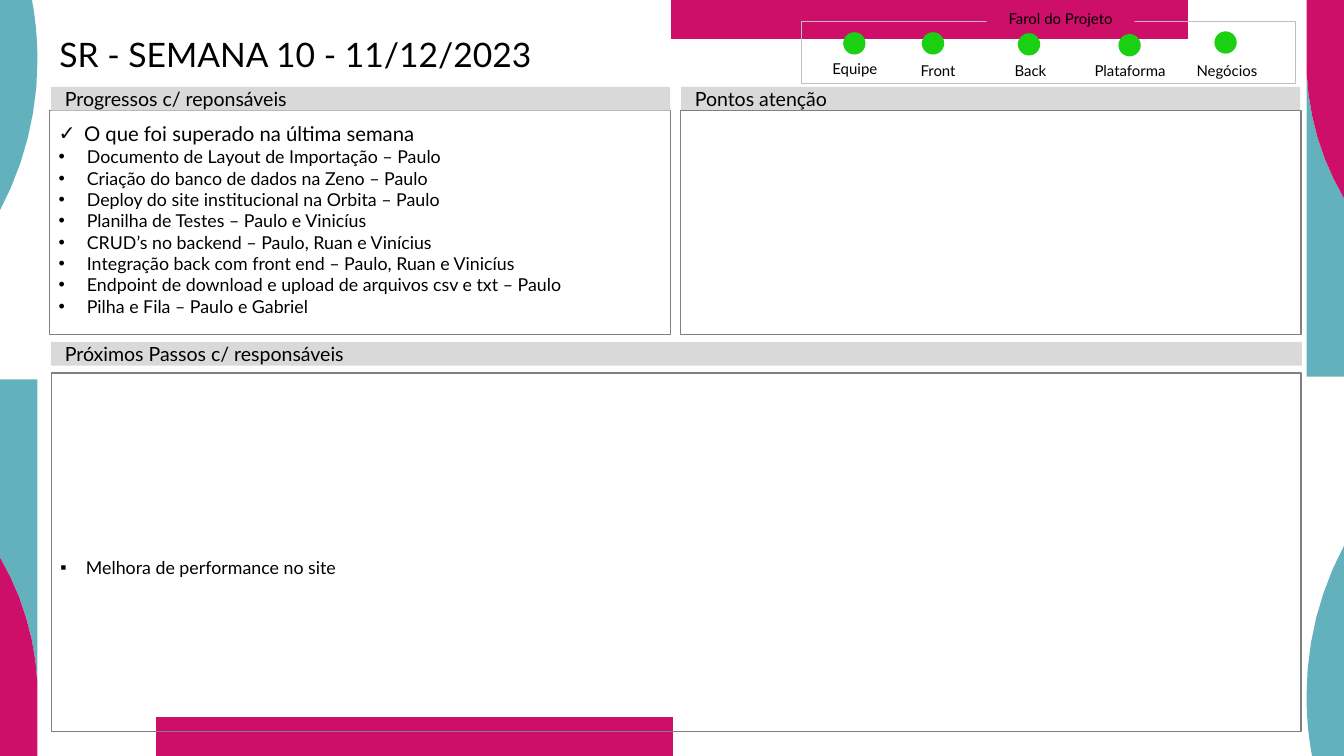
"""Build the weekly status report slide with its project lights."""
import pptx
import pptx.dml.color
import pptx.enum.shapes
import pptx.enum.text
import pptx.oxml.ns
import pptx.util
from lxml import etree

TITLE = "SR - SEMANA 10 - 11/12/2023"
PROGRESS_LEAD = "O que foi superado na última semana"
PROGRESS = [
    "Documento de Layout de Importação – Paulo",
    "Criação do banco de dados na Zeno – Paulo",
    "Deploy do site institucional na Orbita – Paulo",
    "Planilha de Testes – Paulo e Vinicíus",
    "CRUD’s no backend – Paulo, Ruan e Vinícius",
    "Integração back com front end – Paulo, Ruan e Vinicíus",
    "Endpoint de download e upload de arquivos csv e txt – Paulo",
    "Pilha e Fila – Paulo e Gabriel",
]
NEXT_STEPS = ["Melhora de performance no site"]
LIGHTS_TITLE = "Farol do Projeto"
LIGHTS = [
    ("Equipe", 8.86, 0.65, 9.23, 0.36),
    ("Front", 9.77, 0.67, 10.09, 0.36),
    ("Back", 10.78, 0.67, 11.14, 0.37),
    ("Plataforma", 11.87, 0.67, 12.24, 0.38),
    ("Negócios", 12.93, 0.67, 13.29, 0.35),
]

THEME = {
    "font": "Lato", "text": "000000", "teal": "63B1BC", "pink": "CE0F69",
    "light": "1BCF13", "heading": "D9D9D9", "border": "808080", "frame": "BFBFBF",
    "title_size": 26.5, "heading_size": 15.4, "lead_size": 16,
    "list_size": 14, "label_size": 11.8,
}

WIDTH, HEIGHT = 14.7, 8.27
LEFT, RIGHT, COLUMN, PANEL = 0.56, 7.45, 6.77, 6.79
HEADING_ROW, PANEL_ROW, NEXT_HEADING_ROW, NEXT_ROW = 0.95, 1.21, 3.74, 4.08
HEADING_H, PANEL_H, NEXT_H = 0.26, 2.45, 3.92
LABEL_W, LABEL_H, DOT = 0.98, 0.2, 0.23
UNITS_PER_INCH = 1000

HEADINGS = [
    ("Progressos c/ reponsáveis", (LEFT, HEADING_ROW, COLUMN, HEADING_H)),
    ("Pontos atenção", (RIGHT, HEADING_ROW, COLUMN, HEADING_H)),
    ("Próximos Passos c/ responsáveis", (LEFT, NEXT_HEADING_ROW, 13.68, HEADING_H)),
]
EDGE_ART = [
    ("teal", [(0.35, 0), (0, 0), (0, 2.3), (0.26, 1.81, 0.41, 1.25, 0.41, 0.66),
              (0.41, 0.43, 0.39, 0.21, 0.35, 0)]),
    ("pink", [(7.34, 0), (12.99, 0), (12.99, 0.43), (7.34, 0.43)]),
    ("teal", [(14.29, 0.78), (14.29, 4.12), (14.7, 4.12), (14.7, 2.17),
              (14.46, 1.76, 14.31, 1.29, 14.29, 0.78)]),
    ("pink", [(14.7, 2.17), (14.7, 0), (14.29, 0), (14.29, 0.78),
              (14.31, 1.28, 14.46, 1.76, 14.7, 2.17)]),
]

ANCHOR = pptx.enum.text.MSO_ANCHOR
ALIGN = pptx.enum.text.PP_ALIGN
SHAPE = pptx.enum.shapes.MSO_SHAPE
LABEL_FORMAT = {"vertical_anchor": ANCHOR.BOTTOM, "word_wrap": False}
LABEL_INSETS = (0.06, 0.06, 0.06, 0)


def rgb(name):
    return pptx.dml.color.RGBColor.from_string(THEME[name])


def inches(values):
    return [pptx.util.Inches(value) for value in values]


def paint(shape, fill=None, line=None, weight=1):
    if fill:
        shape.fill.solid()
        shape.fill.fore_color.rgb = rgb(fill)
    else:
        shape.fill.background()
    if line:
        shape.line.color.rgb = rgb(line)
        shape.line.width = pptx.util.Pt(weight)
    else:
        shape.line.fill.background()


def draw(shapes, kind, box, **look):
    shape = shapes.add_shape(kind, *inches(box))
    shape.shadow.inherit = False
    paint(shape, **look)
    return shape


def move(placeholder, box):
    for side, length in zip(("left", "top", "width", "height"), inches(box)):
        setattr(placeholder, side, length)


def set_frame(shape, insets, **settings):
    frame = shape.text_frame
    sides = ("margin_left", "margin_top", "margin_right", "margin_bottom")
    values = {"auto_size": pptx.enum.text.MSO_AUTO_SIZE.NONE, "word_wrap": True,
              **dict(zip(sides, inches(insets))), **settings}
    for name, value in values.items():
        setattr(frame, name, value)
    return frame


def write(paragraph, text, size, **settings):
    values = {"alignment": ALIGN.LEFT, "space_before": pptx.util.Pt(0), **settings}
    for name, value in values.items():
        setattr(paragraph, name, value)
    run = paragraph.add_run()
    run.text = text
    look = {"name": THEME["font"], "size": pptx.util.Pt(THEME[size]), "bold": False}
    for name, value in look.items():
        setattr(run.font, name, value)
    run.font.color.rgb = rgb("text")


def write_list(frame, items):
    for index, (text, size, mark, indent) in enumerate(items):
        paragraph = frame.add_paragraph() if index else frame.paragraphs[0]
        write(paragraph, text, size)
        properties = paragraph._p.get_or_add_pPr()
        margin = pptx.util.Inches(indent)
        properties.set("marL", str(margin))
        properties.set("indent", str(-margin))
        etree.SubElement(properties, pptx.oxml.ns.qn("a:buFont"), typeface="Arial")
        etree.SubElement(properties, pptx.oxml.ns.qn("a:buChar"), char=mark)


def flatten(segments, steps=6):
    points = []
    for segment in segments:
        if len(segment) == 2:
            points.append(segment)
            continue
        controls = [points[-1], segment[:2], segment[2:4], segment[4:]]
        for step in range(1, steps + 1):
            t = step / steps
            weights = ((1 - t) ** 3, 3 * t * (1 - t) ** 2, 3 * t * t * (1 - t), t ** 3)
            points.append(tuple(sum(w * c[axis] for w, c in zip(weights, controls))
                                for axis in (0, 1)))
    return points


def add_edge_art(shapes):
    for color, segments in EDGE_ART:
        outline = flatten(segments)
        turned = [(WIDTH - x, HEIGHT - y) for x, y in outline]
        for points in (outline, turned):
            units = [(x * UNITS_PER_INCH, y * UNITS_PER_INCH) for x, y in points]
            builder = shapes.build_freeform(*units[0], scale=pptx.util.Inches(1) / UNITS_PER_INCH)
            builder.add_line_segments(units[1:], close=True)
            art = builder.convert_to_shape()
            art.shadow.inherit = False
            paint(art, color)


def add_lights(shapes):
    draw(shapes, SHAPE.RECTANGLE, (8.77, 0.23, 5.4, 0.68), line="frame", weight=0.5)
    for name, label_x, label_y, dot_x, dot_y in LIGHTS:
        draw(shapes, SHAPE.OVAL, (dot_x, dot_y, DOT, DOT), fill="light", line="light")
        label = shapes.add_textbox(*inches((label_x, label_y, LABEL_W, LABEL_H)))
        frame = set_frame(label, LABEL_INSETS, **LABEL_FORMAT)
        write(frame.paragraphs[0], name, "label_size", alignment=ALIGN.CENTER)
    banner = draw(shapes, SHAPE.RECTANGLE, (10.79, 0.07, 1.62, 0.23), fill="pink")
    frame = set_frame(banner, LABEL_INSETS, **LABEL_FORMAT)
    write(frame.paragraphs[0], LIGHTS_TITLE, "label_size", alignment=ALIGN.CENTER)


def main():
    deck = pptx.Presentation()
    deck.slide_width, deck.slide_height = inches((WIDTH, HEIGHT))
    slide = deck.slides.add_slide(deck.slide_layouts[3])
    shapes = slide.shapes
    title, progress, next_steps = list(shapes.placeholders)
    add_edge_art(shapes)
    for placeholder in (title, progress, next_steps):
        shapes._spTree.append(placeholder._element)

    move(title, (0.53, 0.42, 13.23, 0.88))
    frame = set_frame(title, (0.12, 0, 0.12, 0), vertical_anchor=ANCHOR.TOP)
    write(frame.paragraphs[0], TITLE, "title_size", line_spacing=0.9)

    for text, box in HEADINGS:
        heading = draw(shapes, SHAPE.RECTANGLE, box, fill="heading")
        frame = set_frame(heading, (0.15, 0.07, 0.15, 0.07), vertical_anchor=ANCHOR.MIDDLE)
        write(frame.paragraphs[0], text, "heading_size")

    draw(shapes, SHAPE.RECTANGLE, (7.44, PANEL_ROW, PANEL, PANEL_H), line="border")
    move(progress, (0.54, PANEL_ROW, PANEL, PANEL_H))
    move(next_steps, (LEFT, NEXT_ROW, 13.67, NEXT_H))
    for panel in (progress, next_steps):
        paint(panel, line="border")
    frame = set_frame(progress, (0.1, 0.12, 0.1, 0.05), vertical_anchor=ANCHOR.TOP)
    write_list(frame, [(PROGRESS_LEAD, "lead_size", "✓", 0.28)]
               + [(item, "list_size", "•", 0.31) for item in PROGRESS])
    frame = set_frame(next_steps, (0.1, 0.39, 0.1, 0.05), vertical_anchor=ANCHOR.MIDDLE)
    write_list(frame, [(item, "list_size", "▪", 0.28) for item in NEXT_STEPS])

    add_lights(shapes)
    deck.save("out.pptx")


if __name__ == "__main__":
    main()
